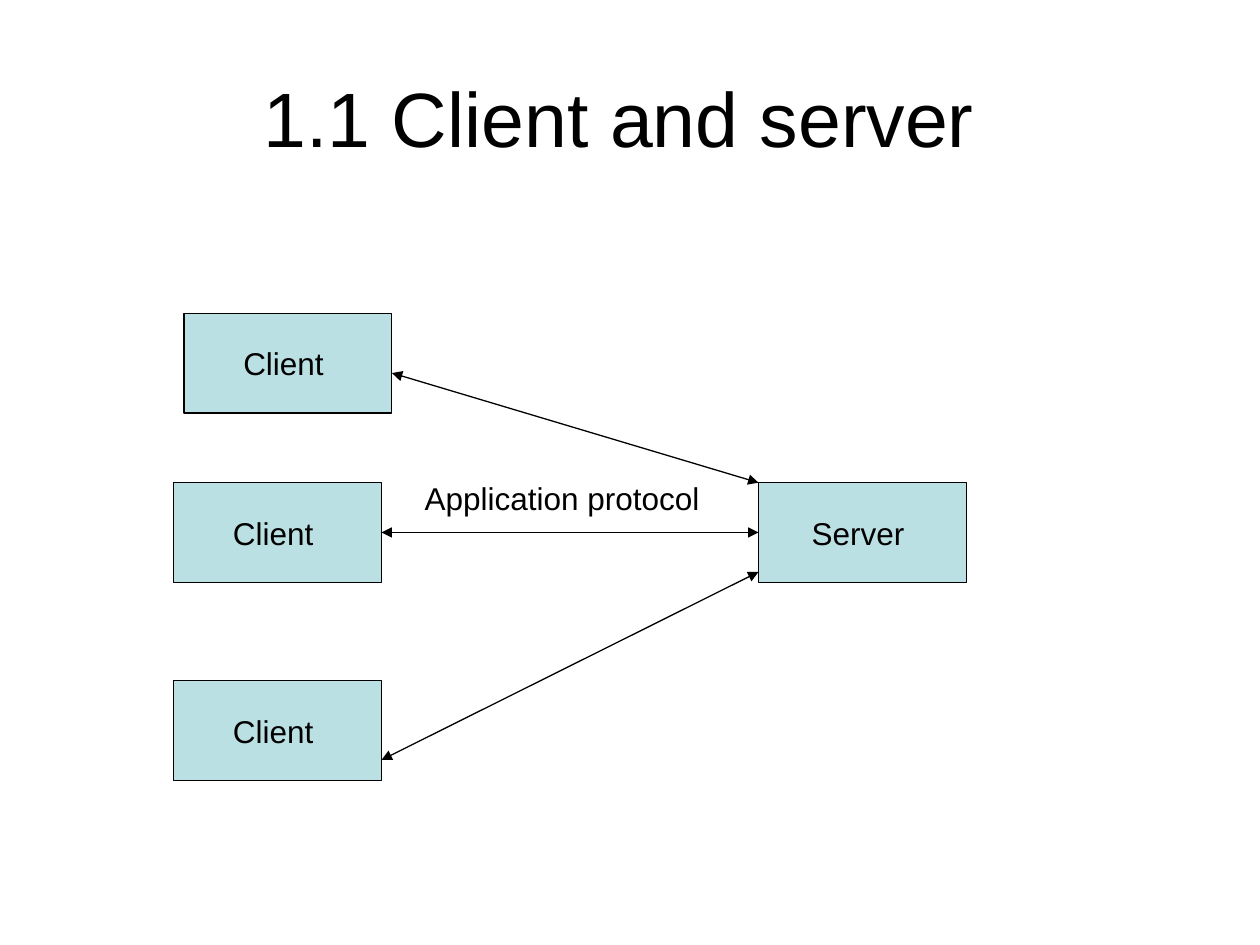
from dataclasses import dataclass

from lxml import etree
from pptx import Presentation
from pptx import util as u
from pptx.dml.color import RGBColor
from pptx.enum import shapes, text
from pptx.oxml.ns import qn

COLOURS = {"ink": "000000", "box": "BBE0E3"}
BOX_W, BOX_H = 4.19, 2.01


@dataclass
class Node:
    label: str
    x: float
    y: float

    @property
    def right(self) -> float:
        return self.x + BOX_W


@dataclass
class Link:
    client: Node
    start_y: float
    end_y: float


TOP = Node("Client ", 3.71, 6.32)
MIDDLE = Node("Client ", 3.5, 9.73)
BOTTOM = Node("Client ", 3.5, 13.72)
SERVER = Node("Server ", 15.29, 9.73)
SLANTED_LINKS = [Link(BOTTOM, 15.32, 11.53), Link(TOP, 7.52, SERVER.y)]


def colour(name: str) -> RGBColor:
    return RGBColor.from_string(COLOURS[name])


def write(sp, content: str, size: int, align, anchor, wrap: bool) -> None:
    tf = sp.text_frame
    tf.word_wrap = wrap
    tf.vertical_anchor = anchor
    p = tf.paragraphs[0]
    p.text = content
    p.alignment = align
    p.font.name = "Arial"
    p.font.size = u.Pt(size)
    p.font.color.rgb = colour("ink")


def add_label(slide, content: str, box: tuple, size: int, align, anchor) -> None:
    sp = slide.shapes.add_textbox(*map(u.Cm, box))
    write(sp, content, size, align, anchor, True)


def add_node(slide, node: Node):
    sp = slide.shapes.add_shape(
        shapes.MSO_SHAPE.RECTANGLE,
        u.Cm(node.x), u.Cm(node.y), u.Cm(BOX_W), u.Cm(BOX_H))
    sp.shadow.inherit = False
    sp.fill.solid()
    sp.fill.fore_color.rgb = colour("box")
    sp.line.color.rgb = colour("ink")
    sp.line.width = u.Pt(0.75)
    write(sp, node.label, 18, text.PP_ALIGN.CENTER, text.MSO_ANCHOR.MIDDLE, False)
    return sp


def add_link(slide, link: Link):
    line = slide.shapes.add_connector(
        shapes.MSO_CONNECTOR.STRAIGHT,
        u.Cm(link.client.right), u.Cm(link.start_y),
        u.Cm(SERVER.x), u.Cm(link.end_y))
    line.line.color.rgb = colour("ink")
    line.line.width = u.Pt(0.75)
    ln = line.line._get_or_add_ln()
    for end in ("a:headEnd", "a:tailEnd"):
        etree.SubElement(ln, qn(end), type="triangle")
    etree.SubElement(line._element.spPr, qn("a:effectLst"))
    return line


def main() -> None:
    prs = Presentation()
    prs.slide_width, prs.slide_height = u.Cm(25.4), u.Cm(19.05)
    slide = prs.slides.add_slide(prs.slide_layouts[6])

    add_label(slide, "1.1 Client and server ", (1.27, 0.76, 22.86, 3.18), 44,
              text.PP_ALIGN.CENTER, text.MSO_ANCHOR.MIDDLE)
    middle, server, _, _ = [
        add_node(slide, node) for node in (MIDDLE, SERVER, BOTTOM, TOP)]

    centre_y = SERVER.y + BOX_H / 2
    straight = add_link(slide, Link(MIDDLE, centre_y, centre_y))
    straight.begin_connect(middle, 3)
    straight.end_connect(server, 1)
    for link in SLANTED_LINKS:
        add_link(slide, link)

    add_label(slide, "Application protocol", (8.31, 9.53, 6.2, 1.02), 18,
              text.PP_ALIGN.LEFT, text.MSO_ANCHOR.TOP)
    prs.save("out.pptx")


if __name__ == "__main__":
    main()
